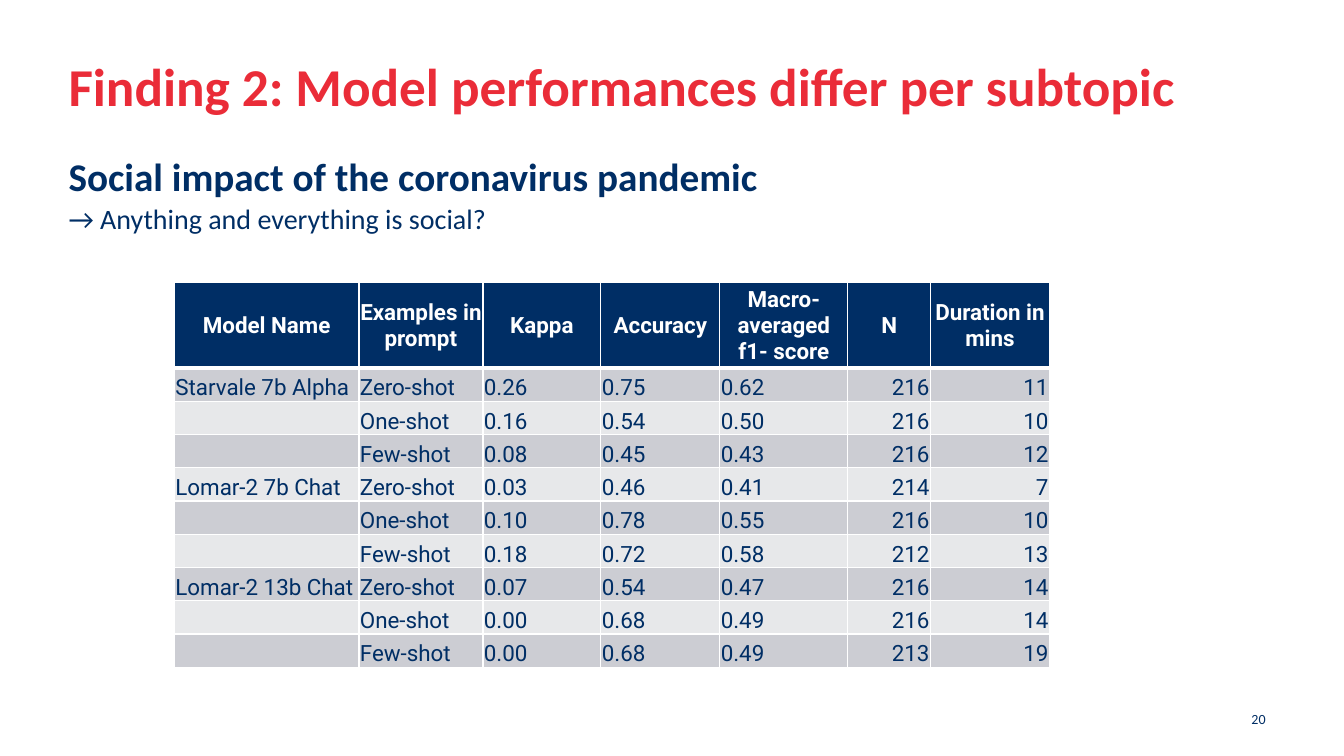
from lxml import etree
from pptx import Presentation
from pptx.dml.color import RGBColor
from pptx.enum.text import MSO_ANCHOR, PP_ALIGN
from pptx.oxml.ns import qn
from pptx.util import Inches, Pt

TOP, MIDDLE, BOTTOM = MSO_ANCHOR.TOP, MSO_ANCHOR.MIDDLE, MSO_ANCHOR.BOTTOM
LEFT, CENTER, RIGHT = PP_ALIGN.LEFT, PP_ALIGN.CENTER, PP_ALIGN.RIGHT

COLORS = {"red": "EA2C38", "navy": "002E65", "white": "FFFFFF",
          "dark": "CCCDD3", "light": "E7E8EA"}
HEADS = ["Model Name", "Examples in prompt", "Kappa", "Accuracy",
         "Macro-averaged f1- score", "N", "Duration in mins"]
WIDTHS = [1.83, 1.23, 1.17, 1.18, 1.27, 0.82, 1.18]
HEAD_H, ROW_H = 0.85, 0.33
MODELS = ["Starvale 7b Alpha", "Lomar-2 7b Chat", "Lomar-2 13b Chat"]
SHOTS = ["Zero-shot", "One-shot", "Few-shot"]
SCORES = [
    ["0.26", "0.75", "0.62", "216", "11"],
    ["0.16", "0.54", "0.50", "216", "10"],
    ["0.08", "0.45", "0.43", "216", "12"],
    ["0.03", "0.46", "0.41", "214", "7"],
    ["0.10", "0.78", "0.55", "216", "10"],
    ["0.18", "0.72", "0.58", "212", "13"],
    ["0.07", "0.54", "0.47", "216", "14"],
    ["0.00", "0.68", "0.49", "216", "14"],
    ["0.00", "0.68", "0.49", "213", "19"],
]


def rgb(name):
    return RGBColor.from_string(COLORS[name])


def add_run(para, text, size, color, bold=False, font="Calibri"):
    run = para.add_run()
    run.text = text
    run.font.size = Pt(size)
    run.font.name = font
    run.font.bold = bold
    run.font.color.rgb = rgb(color)


def set_frame(frame, anchor):
    """Wrap the text, drop the insets and anchor it."""
    frame.word_wrap = True
    frame.vertical_anchor = anchor
    frame.margin_left = frame.margin_right = 0
    frame.margin_top = frame.margin_bottom = 0


def add_title(slide, left, top, width, height):
    title = slide.shapes.title
    title.left, title.top = Inches(left), Inches(top)
    title.width, title.height = Inches(width), Inches(height)
    set_frame(title.text_frame, TOP)
    para = title.text_frame.paragraphs[0]
    para.alignment = LEFT
    add_run(para, "Finding 2: Model performances differ per subtopic",
            38, "red", True)


def add_intro(slide, left, top, width, height):
    box = slide.shapes.add_textbox(Inches(left), Inches(top),
                                   Inches(width), Inches(height))
    frame = box.text_frame
    set_frame(frame, TOP)
    lines = [("Social impact of the coronavirus pandemic", 28, True),
             ("→ Anything and everything is social?", 20, False)]
    for i, (text, size, bold) in enumerate(lines):
        para = frame.add_paragraph() if i else frame.paragraphs[0]
        para.line_spacing = 0.9
        para.space_before = Pt(size * 0.2)
        add_run(para, text, size, "navy", bold)


def add_number(slide, left, top, width, height):
    box = slide.shapes.add_textbox(Inches(left), Inches(top),
                                   Inches(width), Inches(height))
    frame = box.text_frame
    frame.word_wrap = True
    frame.vertical_anchor = MIDDLE
    para = frame.paragraphs[0]
    para.alignment = RIGHT
    para.space_after = Pt(6)
    add_run(para, "20", 10, "navy")


def add_edges(cell, low):
    """Draw white cell borders; low is the bottom width in points."""
    props = cell._tc.get_or_add_tcPr()
    sides = [("a:lnL", 1), ("a:lnR", 1), ("a:lnT", 1), ("a:lnB", low)]
    for i, (tag, width) in enumerate(sides):
        line = etree.Element(qn(tag), w=str(Pt(width)))
        fill = etree.SubElement(line, qn("a:solidFill"))
        etree.SubElement(fill, qn("a:srgbClr"), val=COLORS["white"])
        props.insert(i, line)


def fill_cell(cell, text, row, col):
    head = row == 0
    cell.margin_left = cell.margin_right = cell.margin_top = Inches(0.01)
    cell.margin_bottom = 0
    cell.vertical_anchor = MIDDLE if head else BOTTOM
    cell.fill.solid()
    cell.fill.fore_color.rgb = rgb(
        "navy" if head else "dark" if row % 2 else "light")
    add_edges(cell, 3 if row <= 1 and head else 1)
    para = cell.text_frame.paragraphs[0]
    para.alignment = CENTER if head else RIGHT if col > 4 else LEFT
    if text:
        add_run(para, text, 16, "white" if head else "navy", head, "Roboto")


def add_scores(slide, left, top):
    rows = [HEADS]
    for i, score in enumerate(SCORES):
        group, shot = divmod(i, len(SHOTS))
        rows.append(["" if shot else MODELS[group], SHOTS[shot], *score])
    height = HEAD_H + ROW_H * len(SCORES)
    table = slide.shapes.add_table(
        len(rows), len(HEADS), Inches(left), Inches(top),
        Inches(sum(WIDTHS)), Inches(height)).table
    table.horz_banding = False
    for col, width in enumerate(WIDTHS):
        table.columns[col].width = Inches(width)
    for row, texts in enumerate(rows):
        table.rows[row].height = Inches(ROW_H if row else HEAD_H)
        for col, text in enumerate(texts):
            fill_cell(table.cell(row, col), text, row, col)
    for col in range(len(HEADS)):
        edge = table.cell(1, col)._tc.tcPr.find(qn("a:lnT"))
        edge.set("w", str(Pt(3)))


def main():
    deck = Presentation()
    deck.slide_width, deck.slide_height = Inches(13.33), Inches(7.5)
    slide = deck.slides.add_slide(deck.slide_layouts[5])
    add_title(slide, 0.68, 0.53, 11.97, 0.87)
    add_number(slide, 9.76, 6.93, 2.89, 0.4)
    add_intro(slide, 0.68, 1.56, 11.96, 0.97)
    add_scores(slide, 1.73, 2.8)
    deck.save("out.pptx")


if __name__ == "__main__":
    main()
